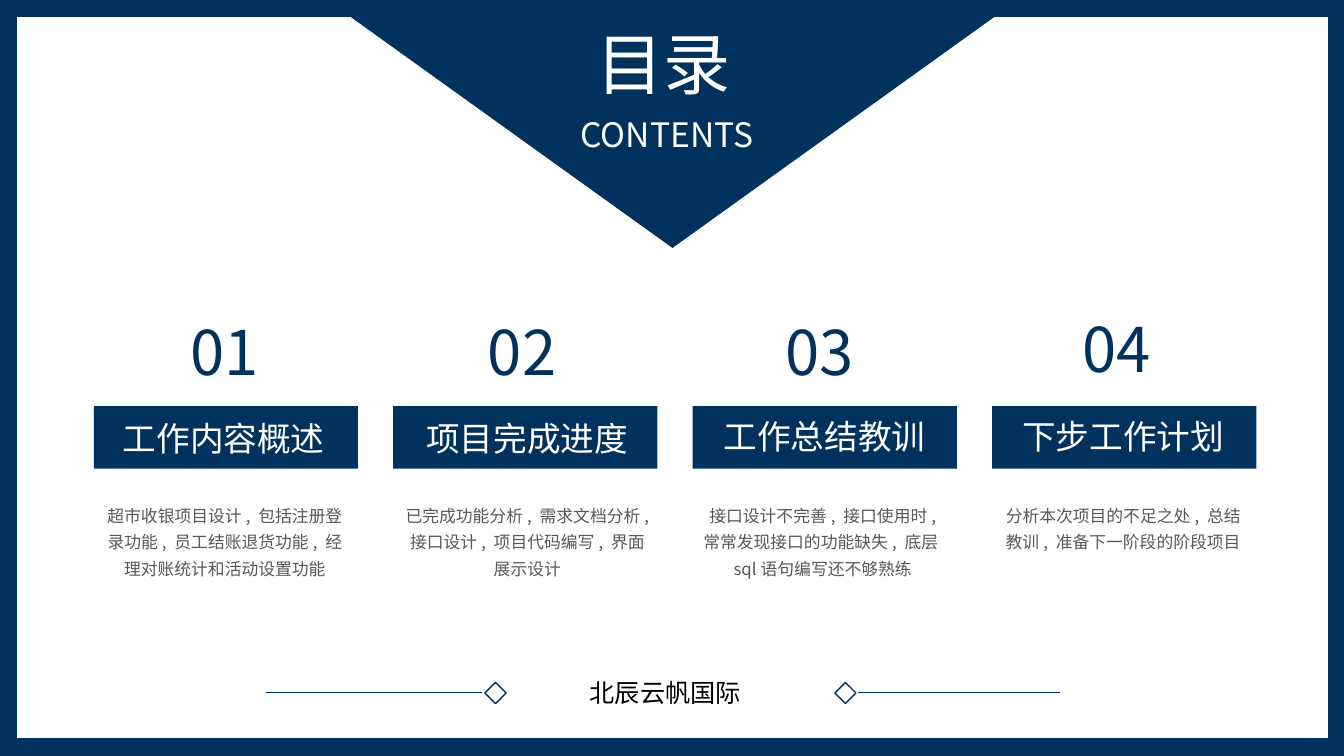
"""Build the contents slide with four numbered sections."""
from dataclasses import dataclass

from lxml import etree
from pptx import Presentation
from pptx.dml.color import RGBColor
from pptx.enum.shapes import MSO_CONNECTOR, MSO_SHAPE
from pptx.enum.text import MSO_AUTO_SIZE, PP_ALIGN
from pptx.oxml.ns import qn
from pptx.shapes.autoshape import Shape
from pptx.slide import Slide
from pptx.util import Emu, Pt

PX = 9144
FONT = "Noto Sans CJK SC"
NAVY = RGBColor(0x00, 0x32, 0x5D)
WHITE = RGBColor(0xFF, 0xFF, 0xFF)
GREY = RGBColor(0x59, 0x59, 0x59)
BLACK = RGBColor(0x00, 0x00, 0x00)
RECTANGLE = MSO_SHAPE.RECTANGLE
TRIANGLE = MSO_SHAPE.ISOSCELES_TRIANGLE
DIAMOND = MSO_SHAPE.DIAMOND
STRAIGHT = MSO_CONNECTOR.STRAIGHT
GROW = MSO_AUTO_SIZE.SHAPE_TO_FIT_TEXT
LEFT, CENTER, JUSTIFY = PP_ALIGN.LEFT, PP_ALIGN.CENTER, PP_ALIGN.JUSTIFY

BAR_LEFT, BAR_STEP = 93, 297
NUMBER_LEFT, NUMBER_STEP = 179, 295
RULE_TOP = 687


@dataclass(frozen=True)
class Area:
    """A rectangle on the slide in px."""
    left: int
    top: int
    width: int
    height: int

    def emu(self) -> tuple[Emu, ...]:
        """Return left, top, width and height in EMU."""
        return tuple(Emu(n * PX) for n in (self.left, self.top, self.width, self.height))


@dataclass(frozen=True)
class Style:
    """Text formatting."""
    size: int
    color: RGBColor
    align: PP_ALIGN = LEFT
    spacing: float = 1.0
    wrap: bool = True


@dataclass(frozen=True)
class Section:
    """One entry of the contents."""
    title: str
    title_left: int
    title_top: int
    number_top: int
    summary: str
    summary_left: int
    summary_height: int


@dataclass(frozen=True)
class Ornament:
    """A footer line with its diamond."""
    start: int
    end: int
    diamond_left: int


HEADING = Style(48, WHITE, wrap=False)
SUBHEADING = Style(24, WHITE, JUSTIFY)
NUMBER = Style(44, NAVY, wrap=False)
TITLE = Style(24, WHITE)
SUMMARY = Style(12, GREY, CENTER, 1.3)
FOOTER = Style(18, BLACK, wrap=False)

SECTIONS = [
    Section("工作内容概述", 112, 410, 307,
            "超市收银项目设计, 包括注册登录功能, 员工结账退货功能, 经理对账统计和活动设置功能", 89, 109),
    Section("项目完成进度", 413, 410, 307,
            "已完成功能分析, 需求文档分析, 接口设计, 项目代码编写, 界面展示设计", 389, 89),
    Section("工作总结教训", 708, 408, 307,
            "接口设计不完善, 接口使用时, 常常发现接口的功能缺失, 底层sql语句编写还不够熟练", 682, 109),
    Section("下步工作计划", 1004, 408, 304,
            "分析本次项目的不足之处, 总结教训, 准备下一阶段的阶段项目", 980, 83),
]
ORNAMENTS = [Ornament(264, 478, 481), Ornament(851, 1051, 828)]


def add_filled(page: Slide, kind: MSO_SHAPE, area: Area, color: RGBColor) -> Shape:
    """Add a solid shape without outline."""
    shape = page.shapes.add_shape(kind, *area.emu())
    shape.shadow.inherit = False
    shape.fill.solid()
    shape.fill.fore_color.rgb = color
    shape.line.fill.background()
    return shape


def add_text(page: Slide, area: Area, text: str, style: Style) -> None:
    """Add a one-paragraph text box."""
    box = page.shapes.add_textbox(*area.emu())
    frame = box.text_frame
    frame.text = text
    frame.word_wrap = style.wrap
    frame.auto_size = GROW
    para = frame.paragraphs[0]
    para.alignment = style.align
    para.line_spacing = style.spacing
    for span in para.runs:
        span.font.size = Pt(style.size)
        span.font.color.rgb = style.color
        span.font.name = FONT
        etree.SubElement(span._r.get_or_add_rPr(), qn("a:ea"), typeface=FONT)


def add_section(page: Slide, index: int, section: Section) -> None:
    """Add the number, title and summary of a section."""
    add_text(page, Area(NUMBER_LEFT + index * NUMBER_STEP, section.number_top, 89, 84),
             f"{index + 1:02}", NUMBER)
    add_filled(page, RECTANGLE, Area(BAR_LEFT + index * BAR_STEP, 403, 262, 62), NAVY)
    add_text(page, Area(section.title_left, section.title_top, 223, 50), section.title, TITLE)
    add_text(page, Area(section.summary_left, 491, 268, section.summary_height),
             section.summary, SUMMARY)


def add_ornament(page: Slide, ornament: Ornament) -> None:
    """Add a footer line and its hollow diamond."""
    start, end, top = (Emu(n * PX) for n in (ornament.start, ornament.end, RULE_TOP))
    rule = page.shapes.add_connector(STRAIGHT, start, top, end, top)
    rule.line.color.rgb = NAVY
    rule.line.width = Pt(0.75)
    etree.SubElement(rule._element.spPr, qn("a:effectLst"))
    area = Area(ornament.diamond_left, 677, 21, 21)
    diamond = page.shapes.add_shape(DIAMOND, *area.emu())
    diamond.shadow.inherit = False
    diamond.fill.background()
    diamond.line.color.rgb = NAVY
    diamond.line.width = Pt(1)


def main() -> None:
    """Build and save the deck."""
    deck = Presentation()
    deck.slide_width, deck.slide_height = Emu(1333 * PX), Emu(750 * PX)
    page = deck.slides.add_slide(deck.slide_layouts[6])

    add_filled(page, RECTANGLE, Area(0, 0, 1333, 750), NAVY)
    add_filled(page, RECTANGLE, Area(17, 17, 1300, 715), WHITE)
    banner = add_filled(page, TRIANGLE, Area(348, 17, 638, 229), NAVY)
    banner.adjustments[0] = 0.5
    banner._element.spPr.find(qn("a:xfrm")).set("flipV", "1")
    add_text(page, Area(566, 108, 202, 50), "CONTENTS", SUBHEADING)
    add_text(page, Area(582, 17, 153, 91), "目录", HEADING)

    for index, section in enumerate(SECTIONS):
        add_section(page, index, section)

    for ornament in ORNAMENTS:
        add_ornament(page, ornament)
    add_text(page, Area(575, 667, 182, 40), "北辰云帆国际", FOOTER)
    deck.save("out.pptx")


if __name__ == "__main__":
    main()
